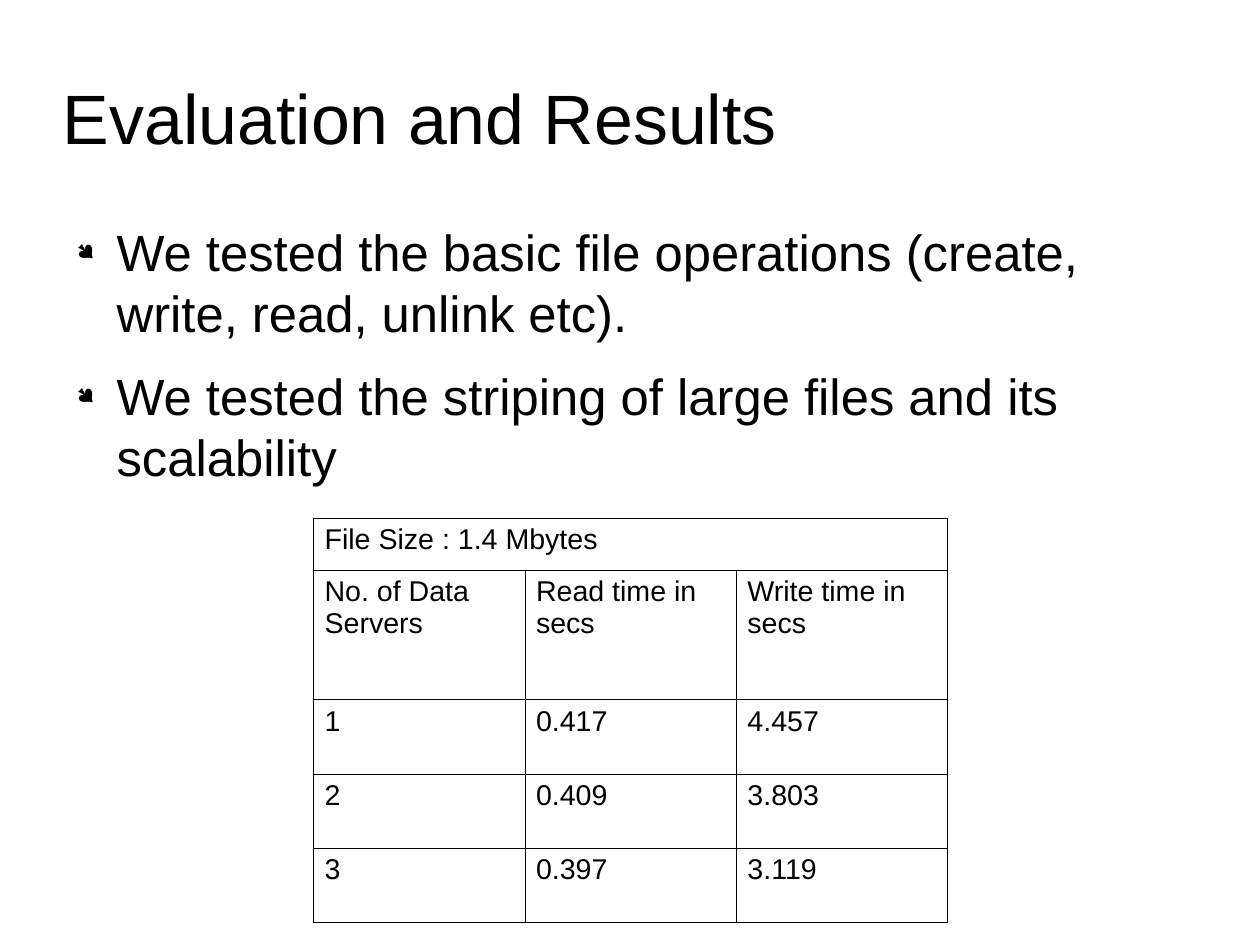
import pptx
import pptx.util
import pptx.dml.color
import pptx.enum.text
import pptx.oxml
import pptx.oxml.ns

HEADING = "Evaluation and Results"
POINTS = [
    "We tested the basic file operations (create, write, read, unlink etc).",
    "We tested the striping of large files and its scalability",
]
TIMINGS = [
    ["File Size : 1.4 Mbytes", "", ""],
    ["No. of Data Servers", "Read time in secs", "Write time in secs"],
    ["1", "0.417", "4.457"],
    ["2", "0.409", "3.803"],
    ["3", "0.397", "3.119"],
]
ROW_HEIGHTS = [0.46, 1.13, 0.65, 0.65, 0.65]
COLUMN_WIDTH = 1.85
SLIDE_POINTS = (793.75, 595.25)
MARGIN, CONTENT_WIDTH = 0.55, 9.92
INK = "000000"

Inches, Pt = pptx.util.Inches, pptx.util.Pt
NAMESPACE = pptx.oxml.ns.nsdecls("a")


def set_font(paragraph, size):
    paragraph.font.name = "Arial"
    paragraph.font.size = Pt(size)
    paragraph.font.color.rgb = pptx.dml.color.RGBColor.from_string(INK)


def clear_insets(frame):
    frame.margin_left = frame.margin_right = frame.margin_top = frame.margin_bottom = 0
    frame.word_wrap = True


def add_bullet(paragraph):
    properties = paragraph._p.get_or_add_pPr()
    properties.set("marL", str(Inches(0.47)))
    properties.set("indent", str(Inches(-0.35)))
    for xml in (
        f'<a:buClr {NAMESPACE}><a:srgbClr val="{INK}"/></a:buClr>',
        f'<a:buSzPct {NAMESPACE} val="45000"/>',
        f'<a:buFont {NAMESPACE} typeface="Wingdings" charset="2"/>',
        f'<a:buChar {NAMESPACE} char="●"/>',
    ):
        properties.append(pptx.oxml.parse_xml(xml))


def add_borders(cell):
    properties = cell._tc.get_or_add_tcPr()
    for position, side in enumerate("LRTB"):
        properties.insert(position, pptx.oxml.parse_xml(
            f'<a:ln{side} {NAMESPACE} w="{Pt(0.06)}"><a:solidFill>'
            f'<a:srgbClr val="{INK}"/></a:solidFill></a:ln{side}>'))


def add_heading(slide):
    heading = slide.shapes.title
    heading.left, heading.top = Inches(MARGIN), Inches(0.38)
    heading.width, heading.height = Inches(CONTENT_WIDTH), Inches(1.28)
    frame = heading.text_frame
    frame.text = HEADING
    clear_insets(frame)
    frame.vertical_anchor = pptx.enum.text.MSO_ANCHOR.MIDDLE
    frame.paragraphs[0].alignment = pptx.enum.text.PP_ALIGN.LEFT
    set_font(frame.paragraphs[0], 44)


def add_points(slide):
    frame = slide.shapes.add_textbox(
        Inches(MARGIN), Inches(1.93), Inches(CONTENT_WIDTH), Inches(5.46)).text_frame
    clear_insets(frame)
    frame.text = "\n".join(POINTS)
    for paragraph in frame.paragraphs:
        paragraph.space_after = Pt(14.2)
        add_bullet(paragraph)
        set_font(paragraph, 32)


def add_timings(slide):
    columns = len(TIMINGS[0])
    table = slide.shapes.add_table(
        len(TIMINGS), columns, Inches(2.74), Inches(4.53),
        Inches(columns * COLUMN_WIDTH), Inches(sum(ROW_HEIGHTS))).table
    table.first_row = table.horz_banding = False
    for row, height in zip(table.rows, ROW_HEIGHTS):
        row.height = Inches(height)
    for r, values in enumerate(TIMINGS):
        for c, value in enumerate(values):
            cell = table.cell(r, c)
            cell.text = value
            cell.fill.background()
            add_borders(cell)
            set_font(cell.text_frame.paragraphs[0], 18)
    table.cell(0, 0).merge(table.cell(0, columns - 1))


def main():
    deck = pptx.Presentation()
    deck.slide_width, deck.slide_height = map(Pt, SLIDE_POINTS)
    slide = deck.slides.add_slide(deck.slide_layouts.get_by_name("Title Only"))
    add_heading(slide)
    add_points(slide)
    add_timings(slide)
    deck.save("out.pptx")


if __name__ == "__main__":
    main()
